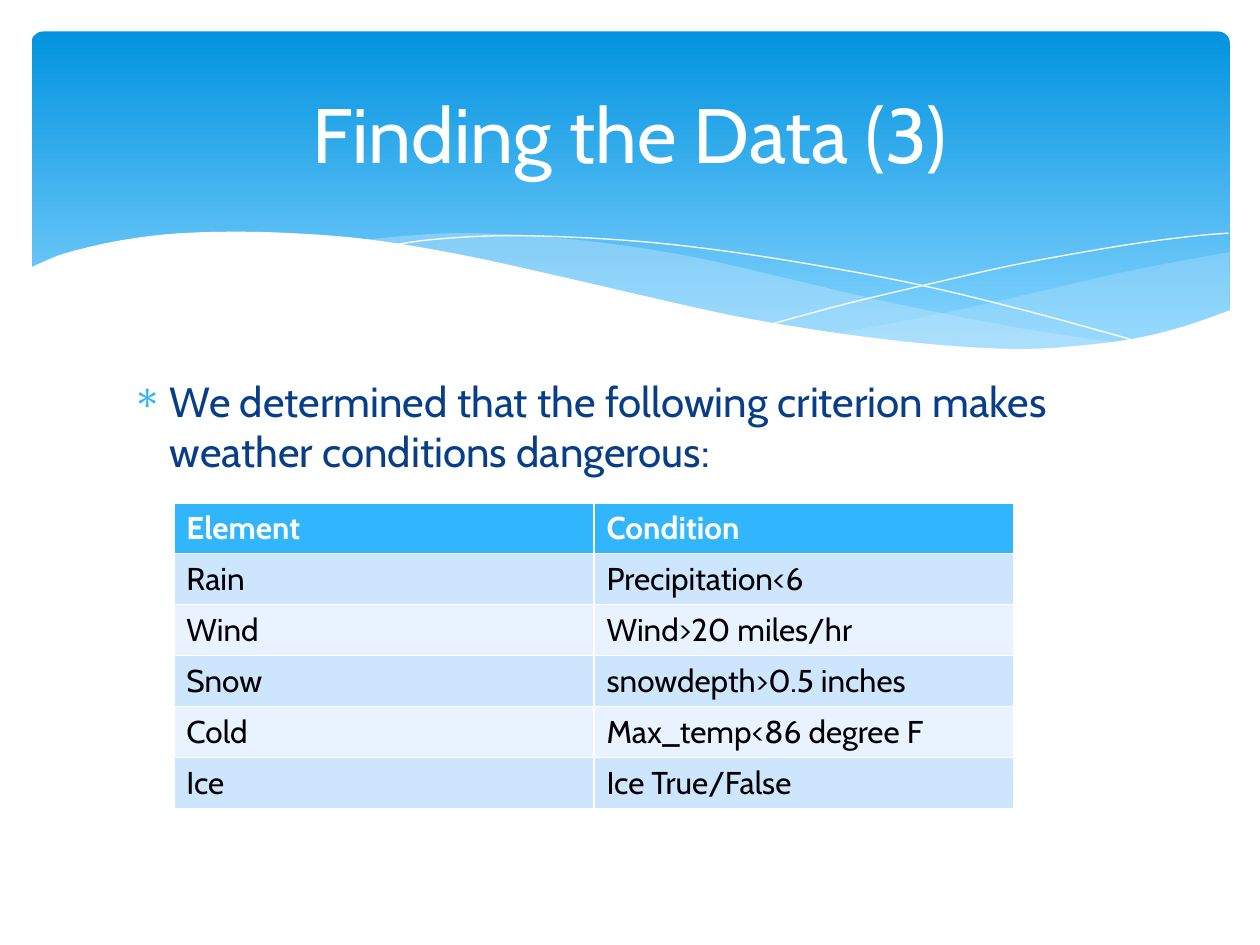
from lxml import etree
from pptx import Presentation, util as u
from pptx.dml.color import RGBColor
from pptx.enum import shapes, text
from pptx.oxml import ns

HUES = {
    "white": "FFFFFF", "black": "000000", "navy": "073E87",
    "deep": "0293E0", "pale": "83D3FE", "veil": "C6E7FC",
    "head": "31B6FD", "odd": "CEE5FE", "even": "E8F3FF",
}
FONT = "Cabin"

VEILS = [
    (29, [
        [(9.53, .16), (8.83, .29), (8.38, .39), (7.56, .58), (6.83, .73), (6.38, .81)],
        [(6.38, .81), (7.09, .9), (7.8, .94), (8.31, .92), (8.74, .86), (9.12, .78),
         (9.53, .63)],
    ]),
    (40, [
        [(8.7, .89), (7.84, .76), (6.83, .56), (6.06, .38), (5.32, .21), (4.66, .1),
         (3.97, .03), (3.38, .01), (2.9, .04), (2.63, .07)],
        [(2.63, .07), (3.19, .15), (3.81, .27), (4.26, .38), (5.07, .56), (5.78, .71),
         (6.42, .82), (6.99, .9), (7.62, .94), (8.15, .94), (8.7, .89)],
    ]),
]
LINES = [
    [(2.86, .11), (3.21, .06), (3.78, .03), (4.46, .05), (5.1, .1), (5.85, .2),
     (6.72, .35), (7.37, .49), (8.08, .67), (8.84, .88)],
    [(5.9, .73), (6.49, .57), (7.25, .39), (7.83, .26), (8.43, .15), (8.87, .08),
     (9.28, .03), (9.52, .01)],
]
CREST = [(9.54, .62), (9.17, .75), (8.76, .85), (8.27, .91), (7.86, .93), (7.38, .91),
         (6.85, .86), (6.25, .78), (5.56, .66), (4.8, .49), (4.24, .36), (3.42, .18),
         (2.69, .06), (2.07, .01), (1.54, 0), (1.09, .02), (.72, .07), (.44, .13),
         (.23, .19), (0, .29)]
ROWS = [
    ("Element", "Condition"),
    ("Rain", "Precipitation<6"),
    ("Wind", "Wind>20 miles/hr"),
    ("Snow", "snowdepth>0.5 inches"),
    ("Cold", "Max_temp<86 degree F"),
    ("Ice", "Ice True/False"),
]


def hue(name):
    return RGBColor.from_string(HUES[name])


def paint(fill, name):
    fill.solid()
    fill.fore_color.rgb = hue(name)


def write(para, words, size, name, bold=False):
    run = para.add_run()
    run.text = words
    run.font.name = FONT
    run.font.size = u.Pt(size)
    run.font.bold = bold
    run.font.color.rgb = hue(name)


def curve(knots, steps=5):
    ends = [knots[0], *knots, knots[-1]]
    dots = [knots[0]]
    for a, b, c, d in zip(ends, ends[1:], ends[2:], ends[3:]):
        for step in range(1, steps + 1):
            t = step / steps
            dots.append(tuple(
                (2 * q + (r - p) * t + (2 * p - 5 * q + 4 * r - s) * t ** 2
                 + (3 * q - p - 3 * r + s) * t ** 3) / 2
                for p, q, r, s in zip(a, b, c, d)))
    return dots


def trace(slide, box, dots, close=True):
    left, top = box[:2]
    spots = [(u.Inches(left + x), u.Inches(top + y)) for x, y in dots]
    pen = slide.shapes.build_freeform(*spots[0])
    pen.add_line_segments(spots[1:], close=close)
    shape = pen.convert_to_shape()
    shape.shadow.inherit = False
    return shape


def add_band(slide, box):
    band = slide.shapes.add_shape(shapes.MSO_SHAPE.ROUNDED_RECTANGLE, *map(u.Inches, box))
    band.adjustments[0] = 0.034
    band.shadow.inherit = False
    band.line.fill.background()
    band.fill.gradient()
    band.fill.gradient_angle = 270
    for stop, name, place in zip(band.fill.gradient_stops, ("deep", "pale"), (0, 0.9)):
        stop.color.rgb = hue(name)
        stop.position = place


def add_waves(slide, box):
    for alpha, sides in VEILS:
        veil = trace(slide, box, [dot for side in sides for dot in curve(side)])
        paint(veil.fill, "veil")
        veil.line.fill.background()
        tint = veil.element.spPr.find(".//" + ns.qn("a:srgbClr"))
        etree.SubElement(tint, ns.qn("a:alpha"), val=str(alpha * 1000))
    for knots in LINES:
        line = trace(slide, box, curve(knots), close=False)
        line.fill.background()
        line.line.color.rgb = hue("white")
        line.line.width = u.Pt(0)
    width, height = box[2:]
    crest = trace(slide, box, curve(CREST) + [(0, height), (width, height)])
    paint(crest.fill, "white")
    crest.line.fill.background()


def add_frame(slide, box):
    frame = slide.shapes.add_textbox(*map(u.Inches, box)).text_frame
    frame.word_wrap = True
    return frame


def add_body(slide, box):
    para = add_frame(slide, box).paragraphs[0]
    para.space_before = u.Pt(4.8)
    write(para, "We determined that the following criterion makes weather "
                "conditions dangerous:", 24, "navy")
    props = para._p.get_or_add_pPr()
    props.set("marL", str(u.Inches(0.3)))
    props.set("indent", str(u.Inches(-0.3)))
    tint = etree.SubElement(props, ns.qn("a:buClr"))
    etree.SubElement(tint, ns.qn("a:srgbClr"), val=HUES["head"])
    etree.SubElement(props, ns.qn("a:buFont"), typeface="Symbol")
    etree.SubElement(props, ns.qn("a:buChar"), char="∗")


def add_title(slide, box):
    frame = add_frame(slide, box)
    frame.vertical_anchor = text.MSO_ANCHOR.MIDDLE
    para = frame.paragraphs[0]
    para.alignment = text.PP_ALIGN.CENTER
    write(para, "Finding the Data (3)", 44, "white")


def add_grid(slide, box):
    grid = slide.shapes.add_table(len(ROWS), len(ROWS[0]), *map(u.Inches, box)).table
    for i, row in enumerate(ROWS):
        head = i == 0
        back = "head" if head else "odd" if i % 2 else "even"
        for j, words in enumerate(row):
            cell = grid.cell(i, j)
            paint(cell.fill, back)
            write(cell.text_frame.paragraphs[0], words, 18,
                  "white" if head else "black", head)


def main():
    deck = Presentation()
    deck.slide_width, deck.slide_height = u.Inches(10), u.Inches(7.5)
    slide = deck.slides.add_slide(deck.slide_layouts[6])
    add_band(slide, (0.25, 0.25, 9.51, 2.7))
    add_waves(slide, (0.23, 1.84, 9.54, 1.45))
    add_body(slide, (0.95, 2.93, 8.1, 3.77))
    add_title(slide, (0.5, 0.37, 9, 1.37))
    add_grid(slide, (1.38, 3.99, 6.67, 2.43))
    deck.save("out.pptx")


if __name__ == "__main__":
    main()
